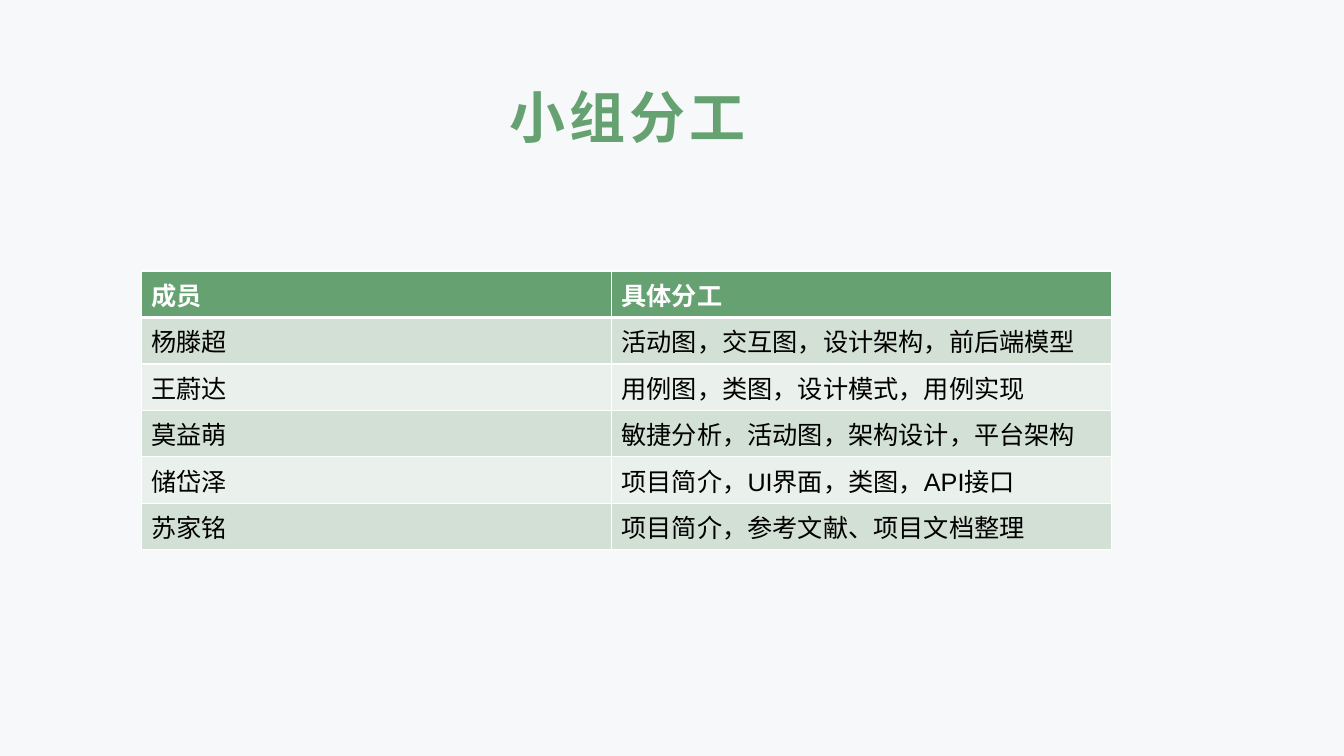
from dataclasses import dataclass

from lxml.etree import SubElement
from pptx import Presentation
from pptx.dml.color import RGBColor as RGB
from pptx.enum.text import MSO_ANCHOR as ANCHOR, PP_ALIGN as ALIGN
from pptx.oxml.ns import qn
from pptx.util import Cm, Pt


@dataclass(frozen=True)
class Theme:
    font: str = "Arial"
    background: str = "F7F8F9"
    green: str = "66A172"
    bands: tuple = ("D3E0D5", "EAF0EB")
    white: str = "FFFFFF"
    black: str = "000000"
    title_size: int = 40
    body_size: int = 18
    title_spacing: int = 3
    rule: int = 1
    header_rule: int = 3


THEME = Theme()

HEADER = ("成员", "具体分工")
MEMBERS = (
    ("杨滕超", "活动图，交互图，设计架构，前后端模型"),
    ("王蔚达", "用例图，类图，设计模式，用例实现"),
    ("莫益萌", "敏捷分析，活动图，架构设计，平台架构"),
    ("储岱泽", "项目简介，UI界面，类图，API接口"),
    ("苏家铭", "项目简介，参考文献、项目文档整理"),
)
COLUMN_WIDTHS = (11.85, 12.6)
ROW_HEIGHT = 1.17


def add_run(p, text, size, color, bold=False):
    r = p.add_run()
    r.text = text
    r.font.name = THEME.font
    r.font.size = Pt(size)
    r.font.bold = bold
    r.font.color.rgb = RGB.from_string(color)
    return r


def add_title(s, text, left, top, width, height):
    tf = s.shapes.add_textbox(Cm(left), Cm(top), Cm(width), Cm(height)).text_frame
    tf.word_wrap = True
    tf.vertical_anchor = ANCHOR.BOTTOM
    p = tf.paragraphs[0]
    p.alignment = ALIGN.CENTER
    r = add_run(p, text, THEME.title_size, THEME.green, bold=True)
    r.font._element.set("spc", str(THEME.title_spacing * 100))


def set_borders(cell, top, bottom):
    tcPr = cell._tc.get_or_add_tcPr()
    widths = {"L": THEME.rule, "R": THEME.rule, "T": top, "B": bottom}
    for side, width in widths.items():
        ln = SubElement(tcPr, qn(f"a:ln{side}"), w=str(Pt(width)))
        fill = SubElement(ln, qn("a:solidFill"))
        SubElement(fill, qn("a:srgbClr"), val=THEME.white)


def fill_cell(cell, text, row):
    is_header = row == 0
    set_borders(
        cell,
        top=THEME.header_rule if row == 1 else THEME.rule,
        bottom=THEME.header_rule if is_header else THEME.rule,
    )
    fill = THEME.green if is_header else THEME.bands[(row - 1) % 2]
    cell.fill.solid()
    cell.fill.fore_color.rgb = RGB.from_string(fill)
    color = THEME.white if is_header else THEME.black
    add_run(cell.text_frame.paragraphs[0], text, THEME.body_size, color, is_header)


def add_member_table(s, rows, left, top):
    table = s.shapes.add_table(
        len(rows), len(COLUMN_WIDTHS), Cm(left), Cm(top),
        Cm(sum(COLUMN_WIDTHS)), Cm(ROW_HEIGHT * len(rows)),
    ).table
    for column, width in zip(table.columns, COLUMN_WIDTHS):
        column.width = Cm(width)
    for i, texts in enumerate(rows):
        for j, text in enumerate(texts):
            fill_cell(table.cell(i, j), text, i)


def main():
    prs = Presentation()
    prs.slide_width, prs.slide_height = Cm(33.87), Cm(19.05)
    s = prs.slides.add_slide(prs.slide_layouts[6])
    s.background.fill.solid()
    s.background.fill.fore_color.rgb = RGB.from_string(THEME.background)

    # Heading
    add_title(s, "小组分工", left=2.44, top=1.9, width=26.75, height=2)

    # Division of work
    add_member_table(s, (HEADER, *MEMBERS), left=3.56, top=6.83)

    prs.save("out.pptx")


main()
